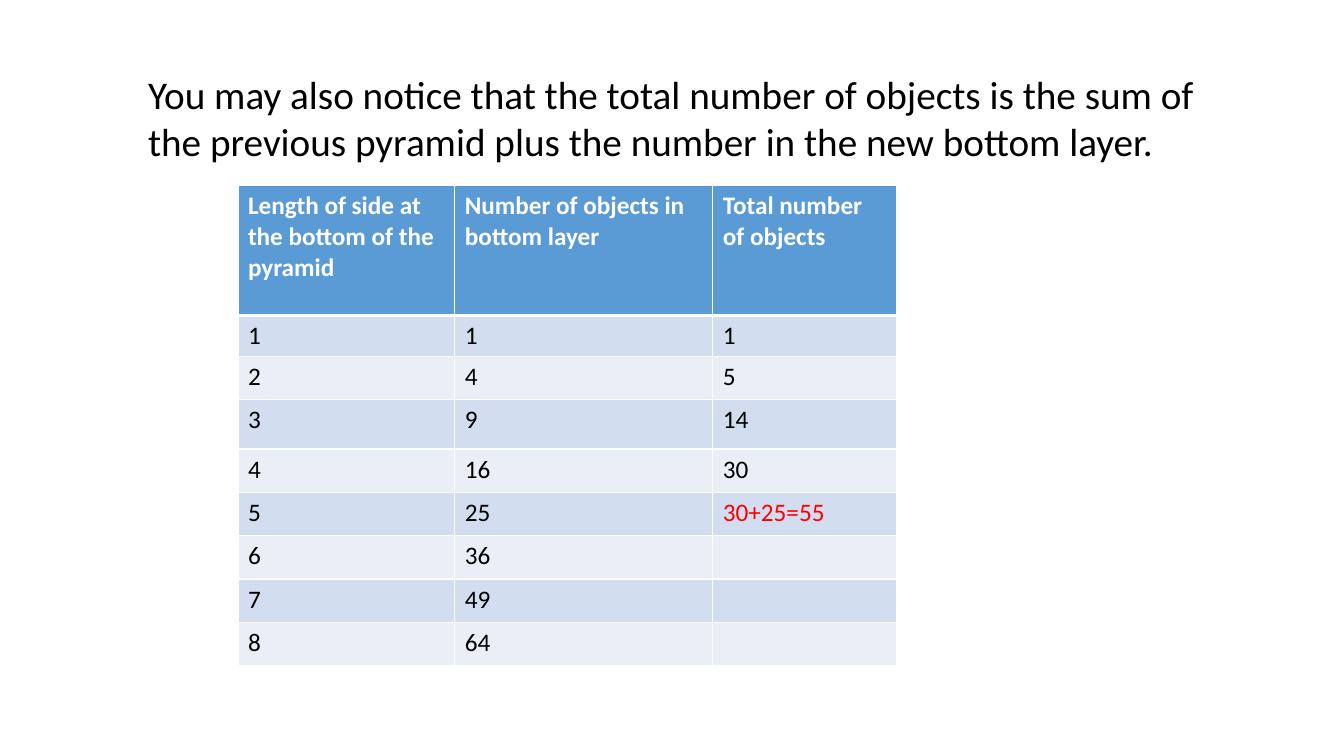
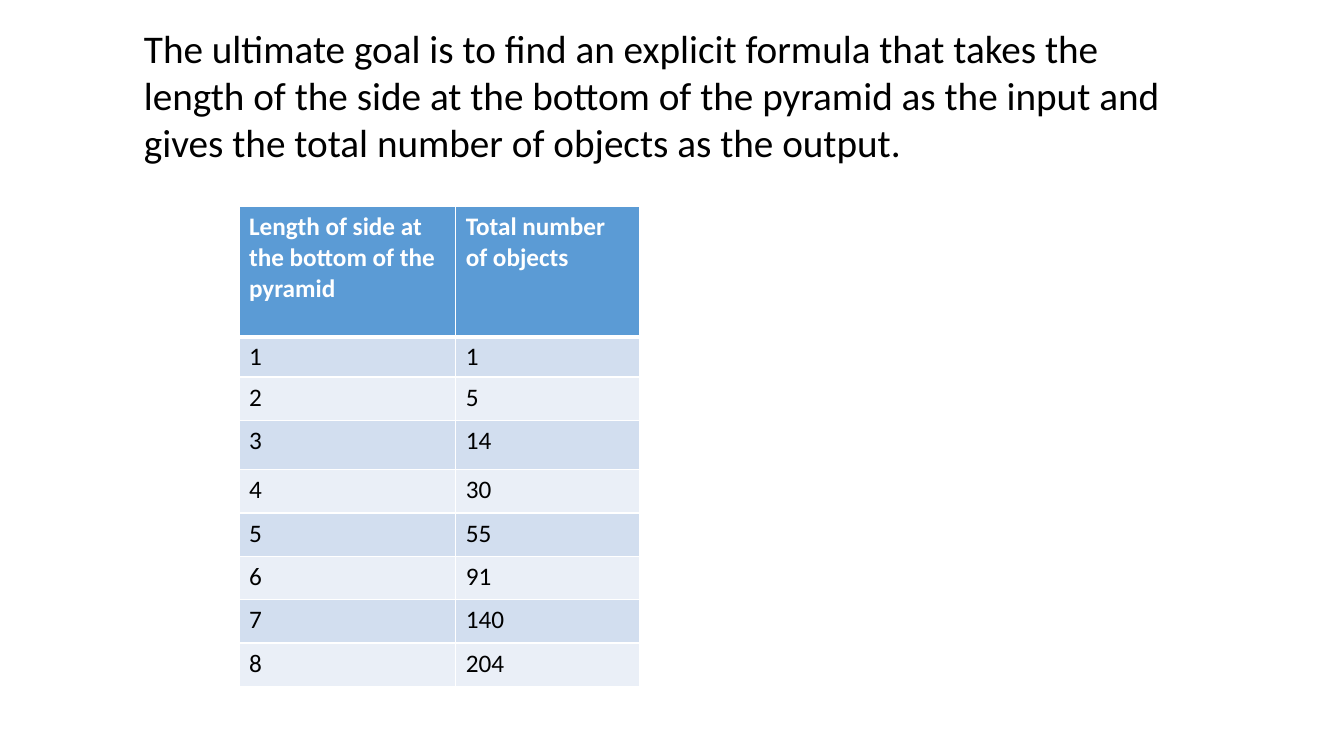
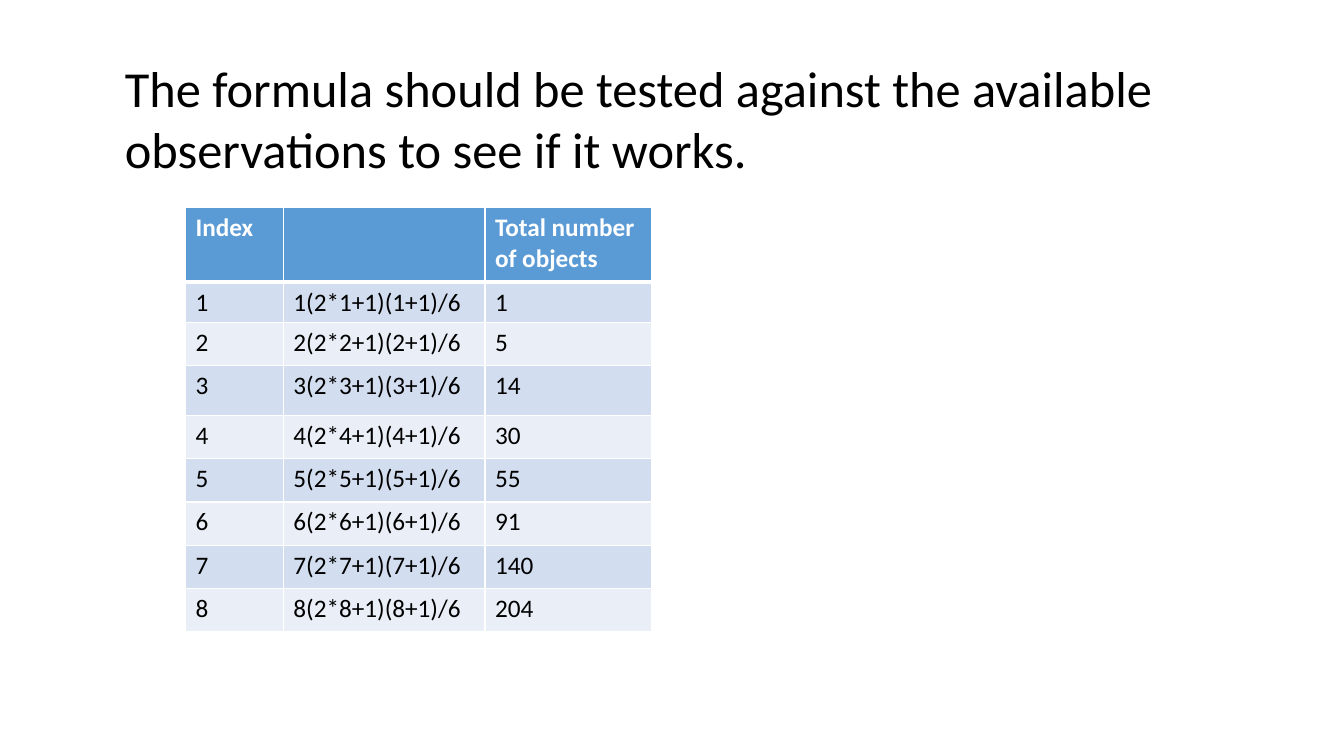
from dataclasses import dataclass

from lxml import etree
from pptx import Presentation
from pptx.dml.color import RGBColor
from pptx.enum.text import MSO_AUTO_SIZE
from pptx.oxml.ns import qn
from pptx.slide import Slide
from pptx.table import _Cell
from pptx.text.text import _Run
from pptx.util import Emu, Pt

FIT_SHAPE = MSO_AUTO_SIZE.SHAPE_TO_FIT_TEXT

# Scale: 100 px to the inch
EMU_PER_PX = 9144
SLIDE_SIZE = (1333, 750)

# Shared style
FONT = "Calibri"
WHITE = RGBColor(0xFF, 0xFF, 0xFF)
BLACK = RGBColor(0x00, 0x00, 0x00)
RED = RGBColor(0xFF, 0x00, 0x00)
HEADER_BLUE = RGBColor(0x5B, 0x9B, 0xD5)
BANDS = (RGBColor(0xD2, 0xDE, 0xEF), RGBColor(0xEA, 0xEF, 0xF7))
CELL_SIZE = 18
THIN, THICK = Pt(1), Pt(3)
BODY_HEIGHTS = (40, 43, 49, 43, 43, 43, 43, 43)

# Columns used more than once
SIDES = range(1, len(BODY_HEIGHTS) + 1)
SIDE_HEADING = "Length of side at the bottom of the pyramid"
TOTAL_HEADING = "Total number of objects"
TOTALS = [side * (side + 1) * (2 * side + 1) // 6 for side in SIDES]


@dataclass(frozen=True)
class Statement:
    text: str
    left: int
    top: int
    width: int
    height: int
    size: int = 28


@dataclass(frozen=True)
class Column:
    heading: str
    width: int
    values: list


@dataclass(frozen=True)
class Grid:
    left: int
    top: int
    header_height: int
    columns: tuple[Column, ...]
    highlight: str = ""


def px(length: int) -> Emu:
    return Emu(length * EMU_PER_PX)


def format_run(span: _Run, size: int, color: RGBColor, bold: bool = False) -> None:
    formats = {"name": FONT, "size": Pt(size), "bold": bold}
    for attribute, value in formats.items():
        setattr(span.font, attribute, value)
    span.font.color.rgb = color


def add_statement(slide: Slide, statement: Statement) -> None:
    box = slide.shapes.add_textbox(px(statement.left), px(statement.top),
                                   px(statement.width), px(statement.height))
    frame = box.text_frame
    frame.word_wrap = True
    frame.auto_size = FIT_SHAPE
    span = frame.paragraphs[0].add_run()
    span.text = statement.text
    format_run(span, statement.size, BLACK)


def set_borders(cell: _Cell, top: Emu, bottom: Emu) -> None:
    properties = cell._tc.get_or_add_tcPr()
    widths = {"a:lnL": THIN, "a:lnR": THIN, "a:lnT": top, "a:lnB": bottom}
    for tag, width in widths.items():
        line = etree.SubElement(properties, qn(tag), w=str(int(width)))
        fill = etree.SubElement(line, qn("a:solidFill"))
        etree.SubElement(fill, qn("a:srgbClr"), val=str(WHITE))


def fill_cell(cell: _Cell, text: str, row: int, highlight: str) -> None:
    is_header = row == 0
    set_borders(cell, THICK if row == 1 else THIN, THICK if is_header else THIN)
    cell.fill.solid()
    cell.fill.fore_color.rgb = HEADER_BLUE if is_header else BANDS[(row - 1) % 2]
    para = cell.text_frame.paragraphs[0]
    if not text:
        para.font.size = Pt(CELL_SIZE)
        return
    span = para.add_run()
    span.text = text
    body_color = RED if text == highlight else BLACK
    format_run(span, CELL_SIZE, WHITE if is_header else body_color, is_header)


def add_grid(slide: Slide, grid: Grid) -> None:
    heights = (grid.header_height, *BODY_HEIGHTS)
    width = sum(column.width for column in grid.columns)
    table = slide.shapes.add_table(len(heights), len(grid.columns), px(grid.left),
                                   px(grid.top), px(width), px(sum(heights))).table
    for row, height in enumerate(heights):
        table.rows[row].height = px(height)
    for index, column in enumerate(grid.columns):
        table.columns[index].width = px(column.width)
        for row, value in enumerate([column.heading, *column.values]):
            fill_cell(table.cell(row, index), str(value), row, grid.highlight)


# Slide contents
NEW_TOTAL = "30+25=55"
SIDE_COLUMN = Column(SIDE_HEADING, 215, list(SIDES))

PAGES = (
    (
        Statement("You may also notice that the total number of objects is the sum of "
                  "the previous pyramid plus the number in the new bottom layer.",
                  137, 65, 1067, 104),
        Grid(236, 184, 129, (
            SIDE_COLUMN,
            Column("Number of objects in bottom layer", 256,
                   [side ** 2 for side in SIDES]),
            Column(TOTAL_HEADING, 182, [*TOTALS[:4], NEW_TOTAL, "", "", ""]),
        ), NEW_TOTAL),
    ),
    (
        Statement("The ultimate goal is to find an explicit formula that takes the "
                  "length of the side at the bottom of the pyramid as the input and "
                  "gives the total number of objects as the output.",
                  133, 19, 1067, 151),
        Grid(237, 205, 129, (
            SIDE_COLUMN,
            Column(TOTAL_HEADING, 182, TOTALS),
        )),
    ),
    (
        Statement("The formula should be tested against the available observations "
                  "to see if it works.", 114, 52, 1085, 131, 36),
        Grid(184, 206, 74, (
            Column("Index", 97, list(SIDES)),
            Column("", 200, [f"{side}(2*{side}+1)({side}+1)/6" for side in SIDES]),
            Column(TOTAL_HEADING, 165, TOTALS),
        )),
    ),
)


def main() -> None:
    deck = Presentation()
    deck.slide_width, deck.slide_height = map(px, SLIDE_SIZE)
    blank = deck.slide_layouts[6]
    for statement, grid in PAGES:
        page = deck.slides.add_slide(blank)
        add_grid(page, grid)
        add_statement(page, statement)
    deck.save("out.pptx")


if __name__ == "__main__":
    main()
